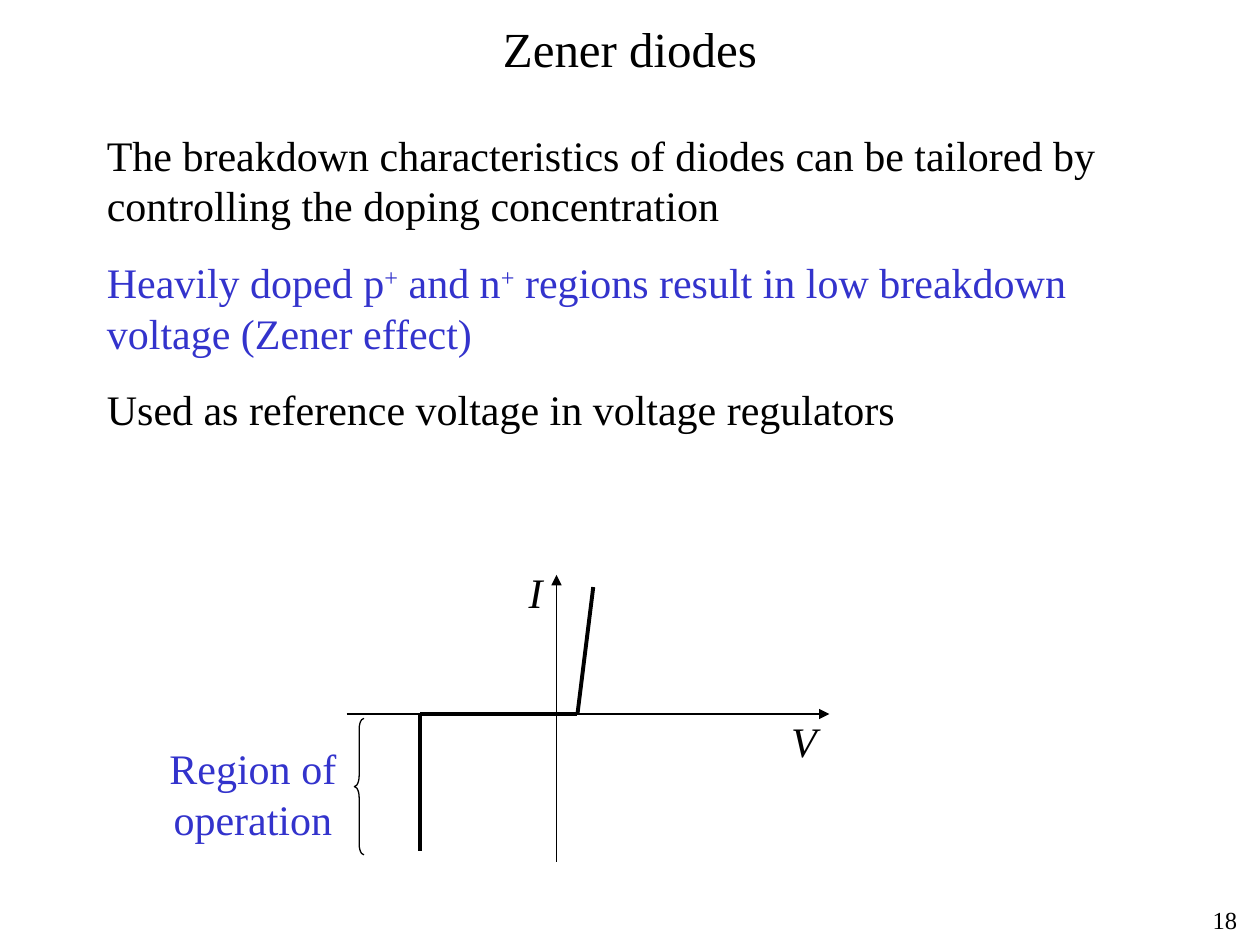
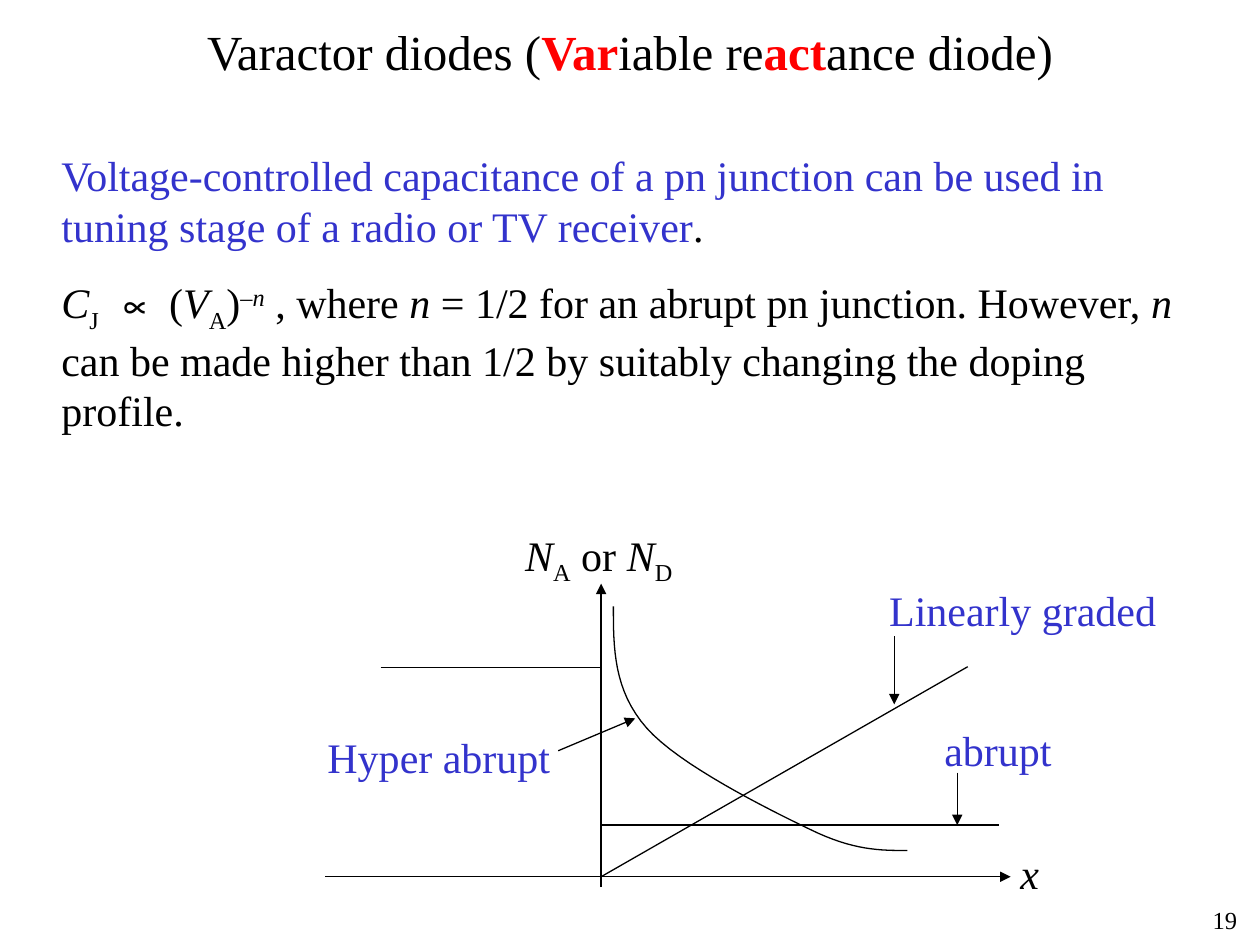
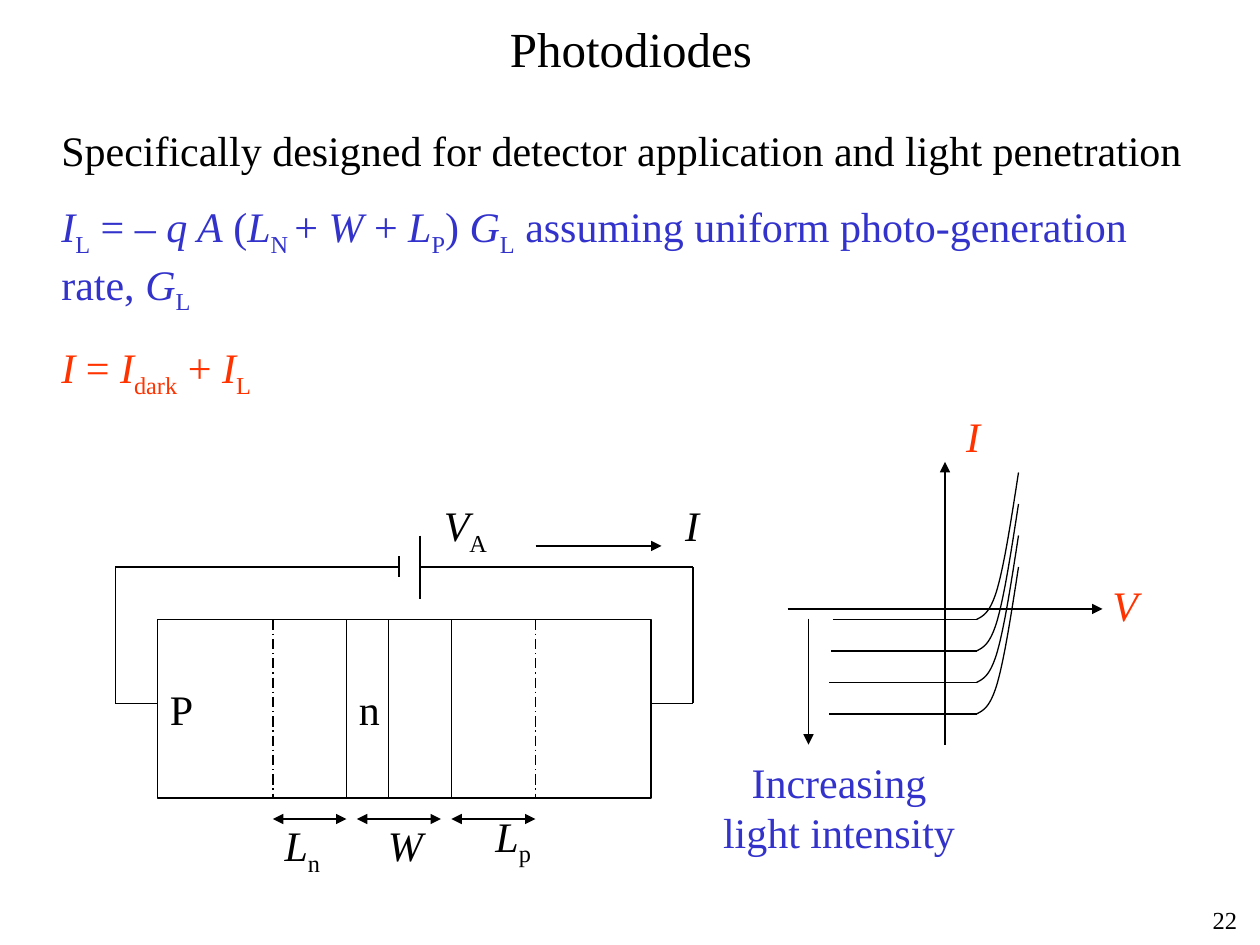
from pptx import Presentation
from pptx.dml.color import RGBColor
from pptx.enum.dml import MSO_LINE
from pptx.enum.shapes import MSO_CONNECTOR, MSO_SHAPE
from pptx.enum.text import MSO_ANCHOR, MSO_AUTO_SIZE, PP_ALIGN
from pptx.oxml.ns import qn
from pptx.util import Pt
from lxml.etree import SubElement

BLACK = RGBColor(0x00, 0x00, 0x00)
WHITE = RGBColor(0xFF, 0xFF, 0xFF)
BLUE = RGBColor(0x33, 0x33, 0xCC)
RED = RGBColor(0xFF, 0x00, 0x00)
ORANGE = RGBColor(0xFF, 0x33, 0x00)

THIN, THICK = 0.75, 2.25


class Deck:
    """Holds the presentation, its style and the slide being filled.

    A paragraph is a string or a list of runs; a run is a string or a pair of
    text and marks: i italic, b bold red, k black, a Arial, - sub, + superscript.
    """

    font = "Times New Roman"
    title_size, text_size, number_size = 28, 24, 14

    def __init__(self):
        self.presentation = Presentation()
        self.presentation.slide_width = Pt(720)
        self.presentation.slide_height = Pt(540)
        self.slide = None

    def new_slide(self, title, number, title_left=54, title_top=7):
        layout = self.presentation.slide_layouts[5]
        self.slide = self.presentation.slides.add_slide(layout)
        shape = self.slide.shapes.title
        shape.left, shape.top = Pt(title_left), Pt(title_top)
        shape.width, shape.height = Pt(612), Pt(41)
        self.fill_frame(shape.text_frame, [title], size=self.title_size,
                        align=PP_ALIGN.CENTER)
        self.text((564, 513.5, 150, 20), [str(number)], size=self.number_size,
                  align=PP_ALIGN.RIGHT)

    def fill_frame(self, frame, paragraphs, colors=(BLACK,), size=text_size,
                   align=PP_ALIGN.LEFT, wrap=True, gap=0, anchor=MSO_ANCHOR.TOP):
        """Write the paragraphs; the last colour serves all that remain."""
        frame.word_wrap = wrap
        frame.auto_size = MSO_AUTO_SIZE.NONE
        frame.vertical_anchor = anchor
        for index, runs in enumerate(paragraphs):
            paragraph = frame.add_paragraph() if index else frame.paragraphs[0]
            paragraph.alignment = align
            paragraph.space_before = Pt(gap if index else 0)
            color = colors[min(index, len(colors) - 1)]
            for item in [runs] if isinstance(runs, str) else runs:
                words, marks = (item, "") if isinstance(item, str) else item
                self.add_run(paragraph, words, marks, color, size)

    def add_run(self, paragraph, words, marks, color, size):
        run = paragraph.add_run()
        run.text = words
        font = run.font
        font.name = "Arial" if "a" in marks else self.font
        font.size = Pt(size)
        font.italic = "i" in marks
        font.bold = "b" in marks
        font.color.rgb = RED if "b" in marks else BLACK if "k" in marks else color
        for mark, baseline in (("-", "-25000"), ("+", "30000")):
            if mark in marks:
                run._r.get_or_add_rPr().set("baseline", baseline)

    def text(self, box, paragraphs, **options):
        shape = self.slide.shapes.add_textbox(*map(Pt, box))
        self.fill_frame(shape.text_frame, paragraphs, **options)

    def body(self, box, paragraphs, colors):
        self.text(box, paragraphs, colors=colors, gap=15)

    def label(self, left, top, width, runs, color=BLACK):
        self.text((left, top, width, 36), [runs], colors=(color,), wrap=False)

    def line(self, x1, y1, x2, y2, width=THIN, dash=None, head=False, tail=False):
        ends = map(Pt, (x1, y1, x2, y2))
        connector = self.slide.shapes.add_connector(MSO_CONNECTOR.STRAIGHT, *ends)
        connector.line.color.rgb = BLACK
        connector.line.width = Pt(width)
        if dash:
            connector.line.dash_style = dash
        properties = connector._element.spPr
        outline = properties.find(qn("a:ln"))
        for tag, wanted in (("a:headEnd", head), ("a:tailEnd", tail)):
            if wanted:
                SubElement(outline, qn(tag), type="triangle")
        SubElement(properties, qn("a:effectLst"))

    def arrow(self, x1, y1, x2, y2, both=False):
        self.line(x1, y1, x2, y2, head=both, tail=True)

    def outline(self, shape):
        shape.shadow.inherit = False
        shape.fill.background()
        shape.line.color.rgb = BLACK
        shape.line.width = Pt(THIN)

    def curve(self, start, *segments, steps=16):
        """Draw joined cubic Bezier segments, each two controls and an end."""
        points = []
        p0 = start
        for p1, p2, p3 in segments:
            for step in range(1, steps + 1):
                t = step / steps
                weights = (1 - t) ** 3, 3 * t * (1 - t) ** 2, 3 * t * t * (1 - t), t ** 3
                points.append(tuple(
                    Pt(sum(w * p[axis] for w, p in zip(weights, (p0, p1, p2, p3))))
                    for axis in (0, 1)))
            p0 = p3
        builder = self.slide.shapes.build_freeform(*map(Pt, start))
        builder.add_line_segments(points, close=False)
        self.outline(builder.convert_to_shape())

    def brace(self, *box):
        shape = self.slide.shapes.add_shape(MSO_SHAPE.LEFT_BRACE, *map(Pt, box))
        shape.adjustments[0] = 1.13
        self.outline(shape)

    def block(self, box, words):
        shape = self.slide.shapes.add_shape(MSO_SHAPE.RECTANGLE, *map(Pt, box))
        self.outline(shape)
        shape.fill.solid()
        shape.fill.fore_color.rgb = WHITE
        self.fill_frame(shape.text_frame, [words], anchor=MSO_ANCHOR.MIDDLE)


def zener_slide(deck):
    deck.new_slide("Zener diodes", 18)
    deck.body((54, 70.5, 612, 181.5), [
        "The breakdown characteristics of diodes can be tailored by "
        "controlling the doping concentration",
        ["Heavily doped p", ("+", "+"), " and n", ("+", "+"),
         " regions result in low breakdown voltage (Zener effect)"],
        "Used as reference voltage in voltage regulators",
    ], (BLACK, BLUE, BLACK))

    axis_y, breakdown_x, turn_on_x = 408, 240, 330
    deck.arrow(318, 492.5, 318, 328.5)
    deck.arrow(198, axis_y, 474, axis_y)
    deck.label(295, 320, 22, [("I", "i")])
    deck.label(445, 405.5, 29, [("V", "i")])
    deck.line(breakdown_x, axis_y, turn_on_x, axis_y, THICK)
    deck.line(339, 335.5, turn_on_x, axis_y, THICK)
    deck.line(breakdown_x, axis_y, breakdown_x, 486.5, THICK)
    deck.brace(202.5, 410.5, 5.5, 78)
    deck.text((82, 421, 125, 65), ["Region of", "operation"],
              colors=(BLUE,), align=PP_ALIGN.CENTER)


def varactor_slide(deck):
    deck.new_slide(["Varactor diodes (", ("Var", "b"), "iable re", ("act", "b"),
                    "ance diode)"], 19, title_top=8.5)
    deck.body((28, 82, 659.5, 170), [
        ["Voltage-controlled capacitance of a pn junction can be used in "
         "tuning stage of a radio or TV receiver", (".", "k")],
        [("C", "i"), ("J ", "-"), (" ∝", "a"), " (", ("V", "i"), ("A", "-"), ")",
         ("–", "+"), ("n", "i+"), " , where ", ("n ", "i"),
         "= 1/2 for an abrupt pn junction. However, ", ("n", "i"),
         " can be made higher than 1/2 by suitably changing the doping profile."],
    ], (BLUE, BLACK))

    junction_x, axis_y = 343.5, 501
    deck.arrow(junction_x, 507, junction_x, 333.5)
    deck.arrow(186, axis_y, 577.5, axis_y)
    deck.line(junction_x, 471.5, 571, 471.5)
    deck.line(junction_x, axis_y, 553, 381)
    deck.line(217.5, 381.5, junction_x, 381.5)
    deck.curve((350.5, 346.5),
               ((350.5, 370), (350.5, 394.5), (369.5, 416)),
               ((388, 437), (438, 462), (463, 474)),
               ((487.5, 486), (503, 486), (518.5, 486)))
    deck.label(293, 299, 98.5, [("N", "i"), ("A", "-"), " or ", ("N", "i"), ("D", "-")])
    deck.label(576, 480.5, 25, [("x", "i")])
    deck.label(501, 330.5, 167, "Linearly graded", BLUE)
    deck.arrow(511, 363.5, 511, 402.5)
    deck.label(180, 414.5, 142, "Hyper abrupt", BLUE)
    deck.arrow(319, 429, 363, 410.5)
    deck.label(532.5, 410.5, 75.5, "abrupt", BLUE)
    deck.arrow(547, 441.5, 547, 471.5)


def photodiode_slide(deck):
    deck.new_slide("Photodiodes", 22, title_left=54.5)
    deck.body((28, 67.5, 662.5, 164), [
        "Specifically designed for detector application and light penetration",
        [("I", "i"), ("L", "-"), " = – ", ("q A", "i"), " (", ("L", "i"), ("N ", "-"),
         "+ ", ("W ", "i"), "+ ", ("L", "i"), ("P", "-"), ") ", ("G", "i"), ("L", "-"),
         " assuming uniform photo-generation rate, ", ("G", "i"), ("L", "-")],
        [("I", "i"), " = ", ("I", "i"), ("dark", "-"), " + ", ("I", "i"), ("L", "-")],
    ], (BLACK, BLUE, ORANGE))
    draw_circuit(deck)
    draw_light_curves(deck)


def draw_circuit(deck):
    left, top, width, height = 90, 354, 282, 102
    right, bottom = left + width, top + height
    deck.block((left, top, width, height), "P\t\t\tn")
    for x in (198, 222, 258):
        deck.line(x, top, x, bottom)
    for x in (156, 306):
        deck.line(x, top, x, bottom, dash=MSO_LINE.LONG_DASH_DOT)

    wire_y, contact_y = 324, 402
    for wire_x, contact_x, plate_x, half_plate in (
            (66, left, 228, 6), (396, right, 240, 18)):
        deck.line(wire_x, contact_y, contact_x, contact_y)
        deck.line(wire_x, wire_y, wire_x, contact_y)
        deck.line(wire_x, wire_y, plate_x, wire_y)
        deck.line(plate_x, wire_y - half_plate, plate_x, wire_y + half_plate)

    for start, end in ((156, 198), (204, 252), (258, 306)):
        deck.arrow(start, 468, end, 468, both=True)
    deck.label(155.5, 465, 34.5, [("L", "i"), ("n", "-")])
    deck.label(214.5, 465, 34.5, [("W", "i")])
    deck.label(276, 459.5, 34.5, [("L", "i"), ("p", "-")])
    deck.label(246.5, 282, 43, [("V", "i"), ("A", "-")])
    deck.arrow(306, 312, 378, 312)
    deck.label(384.5, 282, 22, [("I", "i")])


def draw_light_curves(deck):
    deck.arrow(540, 425.5, 540, 264)
    deck.arrow(450, 348, 630, 348)
    deck.label(628.5, 327.5, 29, [("V", "i")], ORANGE)
    deck.label(545, 231, 22, [("I", "i")], ORANGE)
    for index, start_x in enumerate((476, 475, 474, 474)):
        y = 354 + 18 * index
        deck.line(start_x, y, 558, y)
        deck.curve((558, y),
                   ((562, y - 2), (566, y - 4), (570, y - 18)),
                   ((574, y - 32), (578, y - 58), (582, y - 84)))
    deck.arrow(462, 353.5, 462, 425.5)
    deck.text((406, 428.5, 147, 65), ["Increasing", "light intensity"],
              colors=(BLUE,), align=PP_ALIGN.CENTER, wrap=False)


def main():
    deck = Deck()
    zener_slide(deck)
    varactor_slide(deck)
    photodiode_slide(deck)
    deck.presentation.save("out.pptx")


if __name__ == "__main__":
    main()
